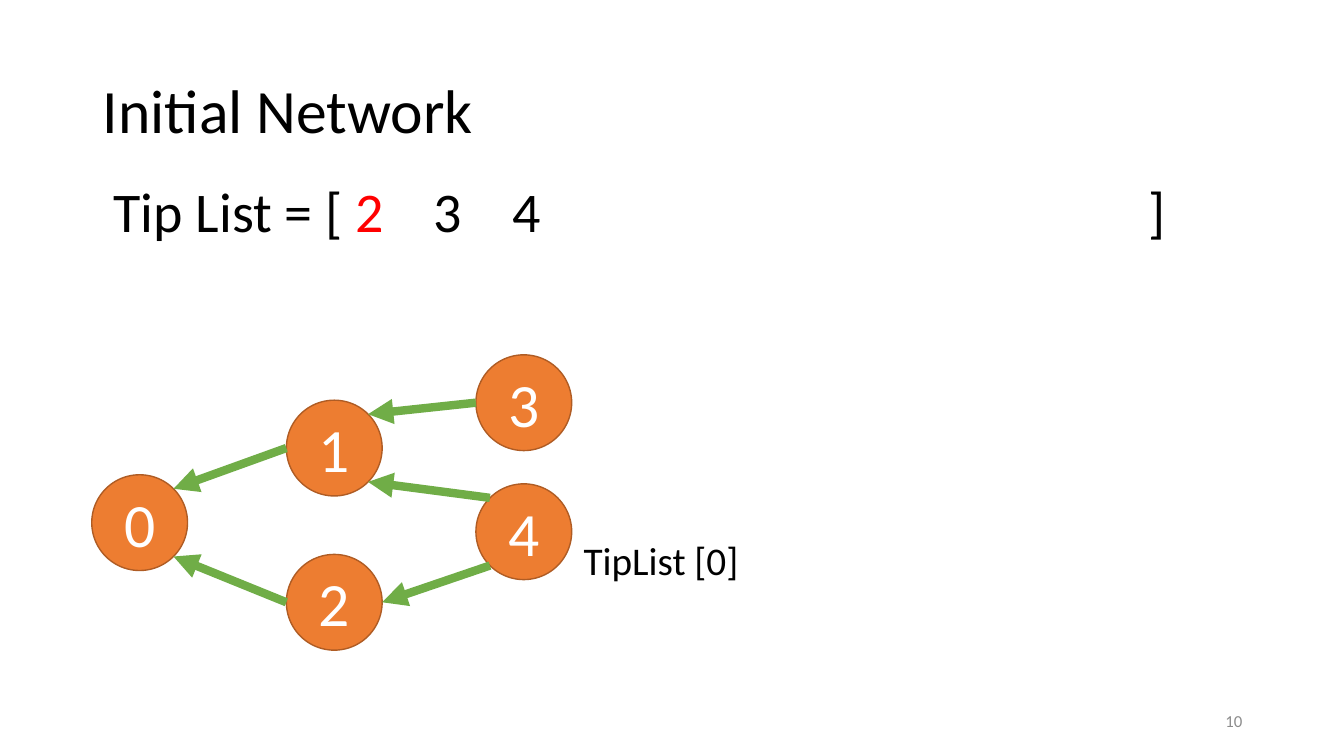
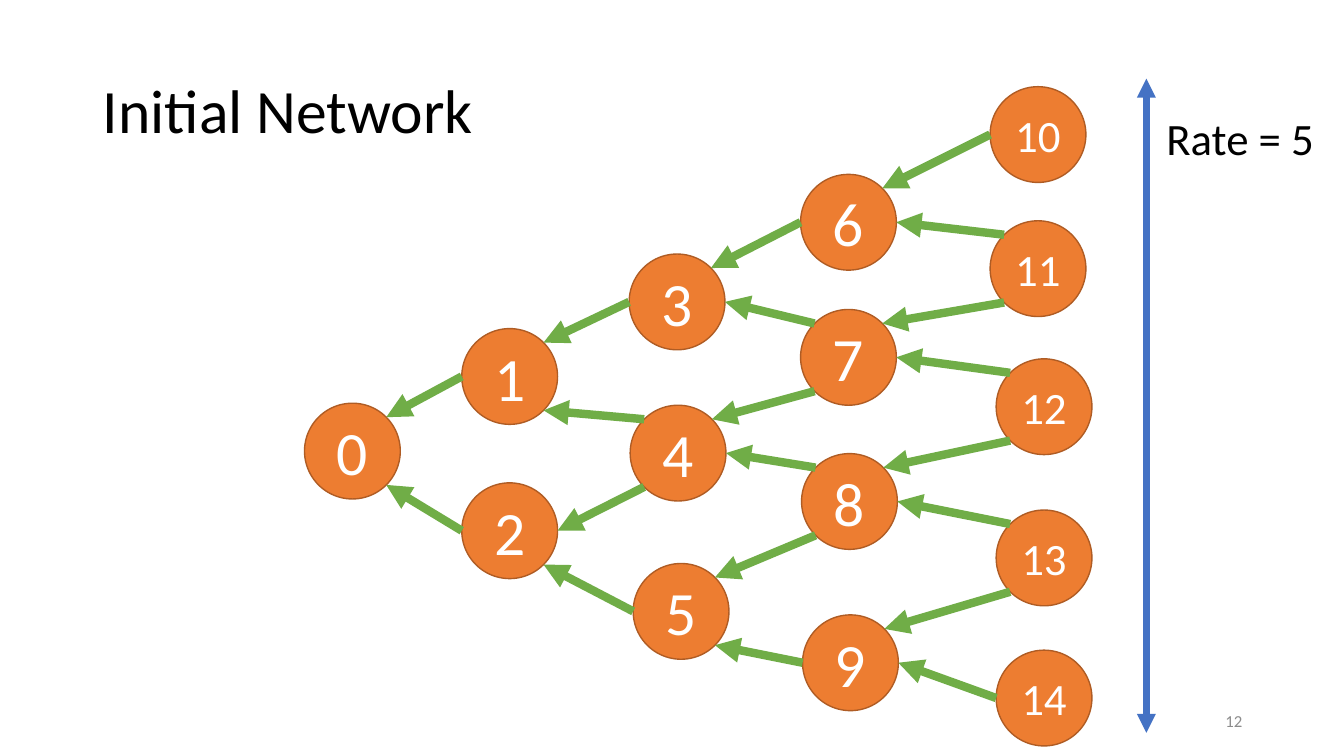
from dataclasses import dataclass
from enum import Enum
from math import sqrt

from lxml.etree import SubElement
from pptx import Presentation
from pptx.dml.color import RGBColor
from pptx.enum.shapes import MSO_CONNECTOR, MSO_SHAPE
from pptx.enum.text import MSO_ANCHOR, MSO_AUTO_SIZE, PP_ALIGN
from pptx.oxml.ns import qn
from pptx.slide import Slide
from pptx.text.text import Font, TextFrame
from pptx.util import Inches, Pt


# Theme
@dataclass(frozen=True)
class Theme:
    face: str = "Calibri"
    ink: str = "000000"
    white: str = "FFFFFF"
    red: str = "FF0000"
    grey: str = "8C8C8C"
    node: str = "ED7D31"
    rim: str = "AF5C24"
    link: str = "70AD47"
    span: str = "4472C4"
    title: int = 44
    tips: int = 40
    rate: int = 32
    label: int = 28
    page: int = 12
    digit: int = 44
    pair: int = 32


THEME = Theme()
SIZE = 0.95
NEAR = 0.5 - sqrt(2) / 4
FAR = 1 - NEAR


# Points on a node's rim, as shares of its size
class Site(Enum):
    L = (0, 0.5)
    R = (1, 0.5)
    TL = (NEAR, NEAR)
    TR = (FAR, NEAR)
    BL = (NEAR, FAR)
    BR = (FAR, FAR)


L, R, TL, TR, BL, BR = Site


@dataclass(frozen=True)
class Node:
    left: float
    top: float

    def point(self, site: Site) -> tuple[float, float]:
        x, y = site.value
        return self.left + x * SIZE, self.top + y * SIZE


@dataclass(frozen=True)
class Link:
    start: int
    exit: Site
    end: int
    entry: Site


@dataclass(frozen=True)
class Label:
    text: str
    left: float
    top: float
    width: float
    height: float
    size: int
    color: str = THEME.ink
    align: PP_ALIGN = PP_ALIGN.LEFT
    anchor: MSO_ANCHOR = MSO_ANCHOR.TOP


# Shared parts
def style(font: Font, size: int, color: str) -> None:
    font.name = THEME.face
    font.size = Pt(size)
    font.color.rgb = RGBColor.from_string(color)


def add_slide(deck, page: int) -> Slide:
    slide = deck.slides.add_slide(deck.slide_layouts[5])
    title = slide.shapes.title
    title.left, title.top = Inches(0.92), Inches(0.4)
    title.width, title.height = Inches(11.5), Inches(1.45)
    title.text_frame.vertical_anchor = MSO_ANCHOR.MIDDLE
    title.text_frame.text = "Initial Network"
    para = title.text_frame.paragraphs[0]
    para.alignment = PP_ALIGN.LEFT
    para.line_spacing = 0.9
    style(para.font, THEME.title, THEME.ink)
    add_label(slide, Label(str(page), 9.42, 6.95, 3, 0.4, THEME.page,
                           THEME.grey, PP_ALIGN.RIGHT, MSO_ANCHOR.MIDDLE))
    return slide


def add_frame(slide: Slide, left: float, top: float,
              width: float, height: float) -> TextFrame:
    box = slide.shapes.add_textbox(Inches(left), Inches(top),
                                   Inches(width), Inches(height))
    box.text_frame.word_wrap = True
    return box.text_frame


def add_label(slide: Slide, label: Label) -> None:
    frame = add_frame(slide, label.left, label.top, label.width, label.height)
    frame.vertical_anchor = label.anchor
    frame.text = label.text
    para = frame.paragraphs[0]
    para.alignment = label.align
    style(para.font, label.size, label.color)


def add_arrow(slide: Slide, start: tuple[float, float],
              end: tuple[float, float], color: str, width: float,
              ends: tuple[str, ...] = ("tailEnd",)) -> None:
    line = slide.shapes.add_connector(
        MSO_CONNECTOR.STRAIGHT, *(Inches(v) for v in (*start, *end)))
    line.line.color.rgb = RGBColor.from_string(color)
    line.line.width = Pt(width)
    stroke = line.line._get_or_add_ln()
    for end_tag in ends:
        SubElement(stroke, qn(f"a:{end_tag}"), type="triangle")
    SubElement(line._element.spPr, qn("a:effectLst"))


def add_node(slide: Slide, index: int, node: Node) -> None:
    disc = slide.shapes.add_shape(MSO_SHAPE.OVAL, Inches(node.left),
                                  Inches(node.top), Inches(SIZE), Inches(SIZE))
    disc.shadow.inherit = False
    disc.fill.solid()
    disc.fill.fore_color.rgb = RGBColor.from_string(THEME.node)
    disc.line.color.rgb = RGBColor.from_string(THEME.rim)
    disc.line.width = Pt(1)
    frame = disc.text_frame
    frame.vertical_anchor = MSO_ANCHOR.MIDDLE
    frame.text = str(index)
    para = frame.paragraphs[0]
    para.alignment = PP_ALIGN.CENTER
    style(para.font, THEME.digit if index < 10 else THEME.pair, THEME.white)


def add_graph(slide: Slide, nodes: list[Node], links: list[Link]) -> None:
    for index, node in enumerate(nodes):
        add_node(slide, index, node)
    for link in links:
        add_arrow(slide, nodes[link.start].point(link.exit),
                  nodes[link.end].point(link.entry), THEME.link, 6)


def add_tips(slide: Slide) -> None:
    frame = add_frame(slide, 1.03, 1.7, 11.38, 0.77)
    frame.auto_size = MSO_AUTO_SIZE.SHAPE_TO_FIT_TEXT
    para = frame.paragraphs[0]
    tabs = SubElement(para._p.get_or_add_pPr(), qn("a:tabLst"))
    for stop in (3.17, 3.95, 10.26):
        SubElement(tabs, qn("a:tab"), pos=str(Inches(stop)), algn="l")
    style(para.font, THEME.tips, THEME.ink)
    for text, color in (("Tip List = [ ", THEME.ink), ("2", THEME.red),
                        ("\t3\t4\t]", THEME.ink)):
        run = para.add_run()
        run.text = text
        run.font.color.rgb = RGBColor.from_string(color)


deck = Presentation()
deck.slide_width, deck.slide_height = Inches(13.33), Inches(7.5)

# Slide 1: tip list and small network
slide = add_slide(deck, 10)
add_tips(slide)
add_graph(
    slide,
    [Node(0.91, 4.71), Node(2.84, 3.97), Node(2.84, 5.5),
     Node(4.72, 3.52), Node(4.72, 4.8)],
    [Link(1, L, 0, TR), Link(2, L, 0, BR), Link(3, L, 1, TR),
     Link(4, TL, 1, BR), Link(4, BL, 2, R)])
add_label(slide, Label("TipList [0]", 5.69, 5.27, 1.91, 0.57, THEME.label))

# Slide 2: full network and its rate
slide = add_slide(deck, 12)
add_graph(
    slide,
    [Node(3.02, 4), Node(4.58, 3.26), Node(4.58, 4.79),
     Node(6.24, 2.52), Node(6.25, 4.02), Node(6.28, 5.59),
     Node(7.94, 1.73), Node(7.94, 3.07), Node(7.95, 4.5), Node(7.96, 6.1),
     Node(9.82, 0.86), Node(9.82, 2.19), Node(9.88, 3.56),
     Node(9.88, 5.06), Node(9.88, 6.45)],
    [Link(1, L, 0, TR), Link(2, L, 0, BR),
     Link(3, L, 1, TR), Link(4, TL, 1, BR), Link(4, BL, 2, R),
     Link(5, L, 2, BR), Link(6, L, 3, TR), Link(7, TL, 3, R),
     Link(7, BL, 4, TR), Link(8, TL, 4, R), Link(8, BL, 5, TR),
     Link(9, L, 5, BR), Link(10, L, 6, TR), Link(11, TL, 6, R),
     Link(11, BL, 7, TR), Link(12, TL, 7, R), Link(12, BL, 8, TR),
     Link(13, TL, 8, R), Link(13, BL, 9, TR), Link(14, L, 9, R)])
add_arrow(slide, (11.37, 0.78), (11.37, 7.27), THEME.span, 4.5,
          ("headEnd", "tailEnd"))
add_label(slide, Label("Rate = 5", 11.47, 1.05, 1.86, 0.64, THEME.rate))

deck.save("out.pptx")
